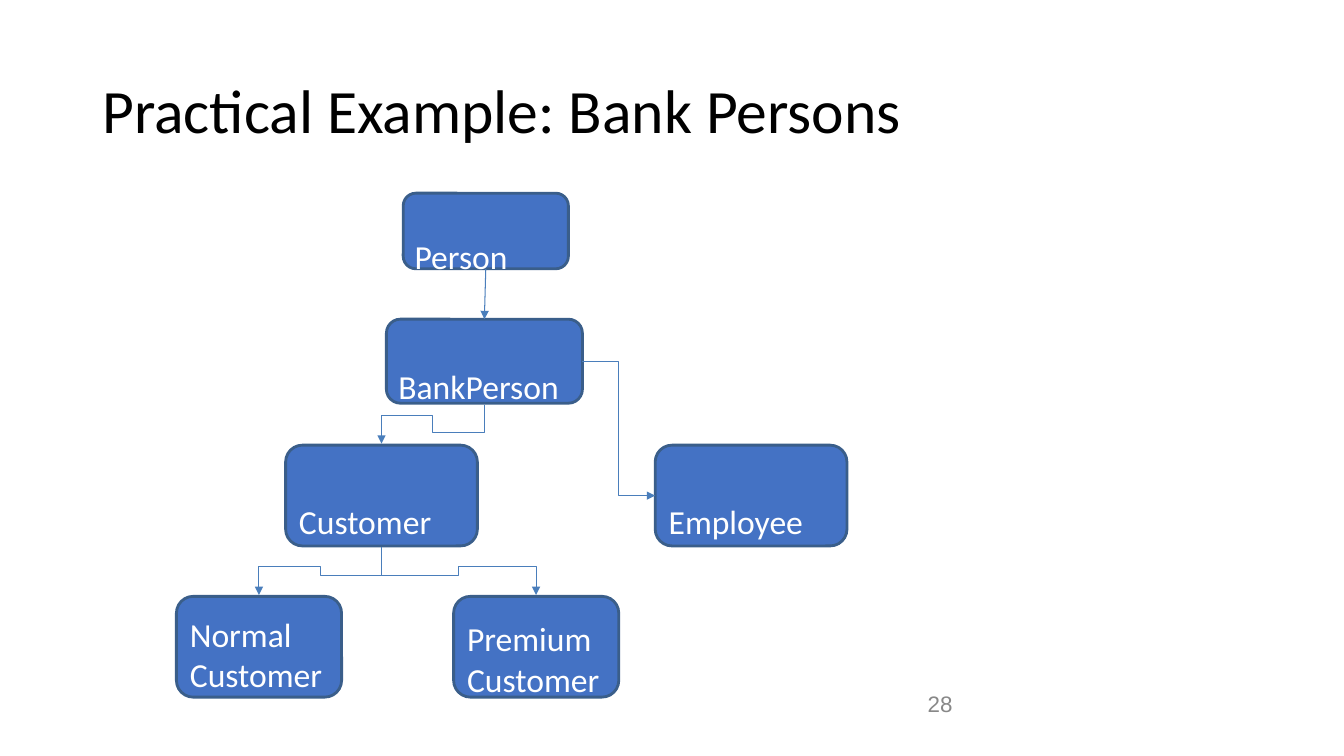
from lxml import etree
from pptx import Presentation
from pptx.dml.color import RGBColor
from pptx.enum.shapes import MSO_CONNECTOR, MSO_SHAPE
from pptx.enum.text import MSO_ANCHOR, PP_ALIGN
from pptx.oxml.ns import qn
from pptx.util import Pt

ROUNDED = MSO_SHAPE.ROUNDED_RECTANGLE
STRAIGHT, ELBOW = MSO_CONNECTOR.STRAIGHT, MSO_CONNECTOR.ELBOW
TOP, MIDDLE = MSO_ANCHOR.TOP, MSO_ANCHOR.MIDDLE
LEFT, RIGHT = PP_ALIGN.LEFT, PP_ALIGN.RIGHT
TOP_SITE, LEFT_SITE, BOTTOM_SITE, RIGHT_SITE = range(4)
COLORS = {
    "title": "000000",
    "number": "888888",
    "label": "FFFFFF",
    "box": "4472C4",
    "border": "3A5E8A",
    "arrow": "4A7EBB",
}

prs = Presentation()
prs.slide_width, prs.slide_height = Pt(960), Pt(540)
slide = prs.slides.add_slide(prs.slide_layouts[6])
shapes = slide.shapes


def add_text(text, left, top, width, height, size=24, color="label", font="Calibri",
             align=LEFT, anchor=TOP, inset=3.6, spacing=1.0, wrap=True):
    frame = shapes.add_textbox(Pt(left), Pt(top), Pt(width), Pt(height)).text_frame
    frame.word_wrap = wrap
    frame.vertical_anchor = anchor
    frame.margin_left = frame.margin_right = Pt(inset)
    frame.margin_top = frame.margin_bottom = Pt(3.6)
    frame.text = text
    for paragraph in frame.paragraphs:
        paragraph.alignment = align
        paragraph.line_spacing = spacing
        paragraph.font.size = Pt(size)
        paragraph.font.name = font
        paragraph.font.color.rgb = RGBColor.from_string(COLORS[color])


def style_arrow(arrow):
    arrow.line.color.rgb = RGBColor.from_string(COLORS["arrow"])
    arrow.line.width = Pt(0.75)
    etree.SubElement(arrow.line._get_or_add_ln(), qn("a:tailEnd"), type="triangle")


add_text("Practical Example: Bank Persons", 66, 29, 828, 104, size=44, color="title",
         anchor=MIDDLE, inset=7.2, spacing=0.9)
add_text("28", 659, 489, 25, 27, size=16, color="number", font="Arial",
         align=RIGHT, anchor=MIDDLE, wrap=False)

classes = [
    ("Person", 288, 138, 118, 54, 27),
    ("BankPerson", 276, 228, 140, 60, 30),
    ("Customer", 204, 318, 137, 72, 36),
    ("Normal\nCustomer", 126, 426, 118, 72, 9),
    ("Premium\nCustomer", 324, 426, 118, 72, 12),
    ("Employee", 468, 318, 137, 72, 36),
]
boxes = []
for label, left, top, width, height, label_drop in classes:
    box = shapes.add_shape(ROUNDED, Pt(left), Pt(top), Pt(width), Pt(height))
    box.shadow.inherit = False
    box.fill.solid()
    box.fill.fore_color.rgb = RGBColor.from_string(COLORS["box"])
    box.line.color.rgb = RGBColor.from_string(COLORS["border"])
    box.line.width = Pt(2)
    boxes.append(box)
    side = height / 12
    add_text(label, left + side, top + label_drop, width - 2 * side, 36)
person, bank_person, customer, normal, premium, employee = boxes

for kind, parent, parent_site, child, child_site in [
    (STRAIGHT, person, BOTTOM_SITE, bank_person, TOP_SITE),
    (ELBOW, bank_person, RIGHT_SITE, employee, LEFT_SITE),
]:
    link = shapes.add_connector(kind, 0, 0, 0, 0)
    link.begin_connect(parent, parent_site)
    link.end_connect(child, child_site)
    style_arrow(link)
    etree.SubElement(link.line._get_or_add_ln().getparent(), qn("a:effectLst"))

for parent, child in [(bank_person, customer), (customer, normal), (customer, premium)]:
    start_x = parent.left + parent.width // 2
    end_x = child.left + child.width // 2
    middle_x = (start_x + end_x) // 2
    start_y = parent.top + parent.height + Pt(1)
    end_y = child.top - Pt(1)
    low_y, high_y = start_y + Pt(20), end_y - Pt(20)
    route = shapes.build_freeform(start_x, start_y)
    route.add_line_segments([(start_x, low_y), (middle_x, low_y), (middle_x, high_y),
                             (end_x, high_y), (end_x, end_y)], close=False)
    branch = route.convert_to_shape()
    branch.fill.background()
    branch.shadow.inherit = False
    style_arrow(branch)

prs.save("out.pptx")
